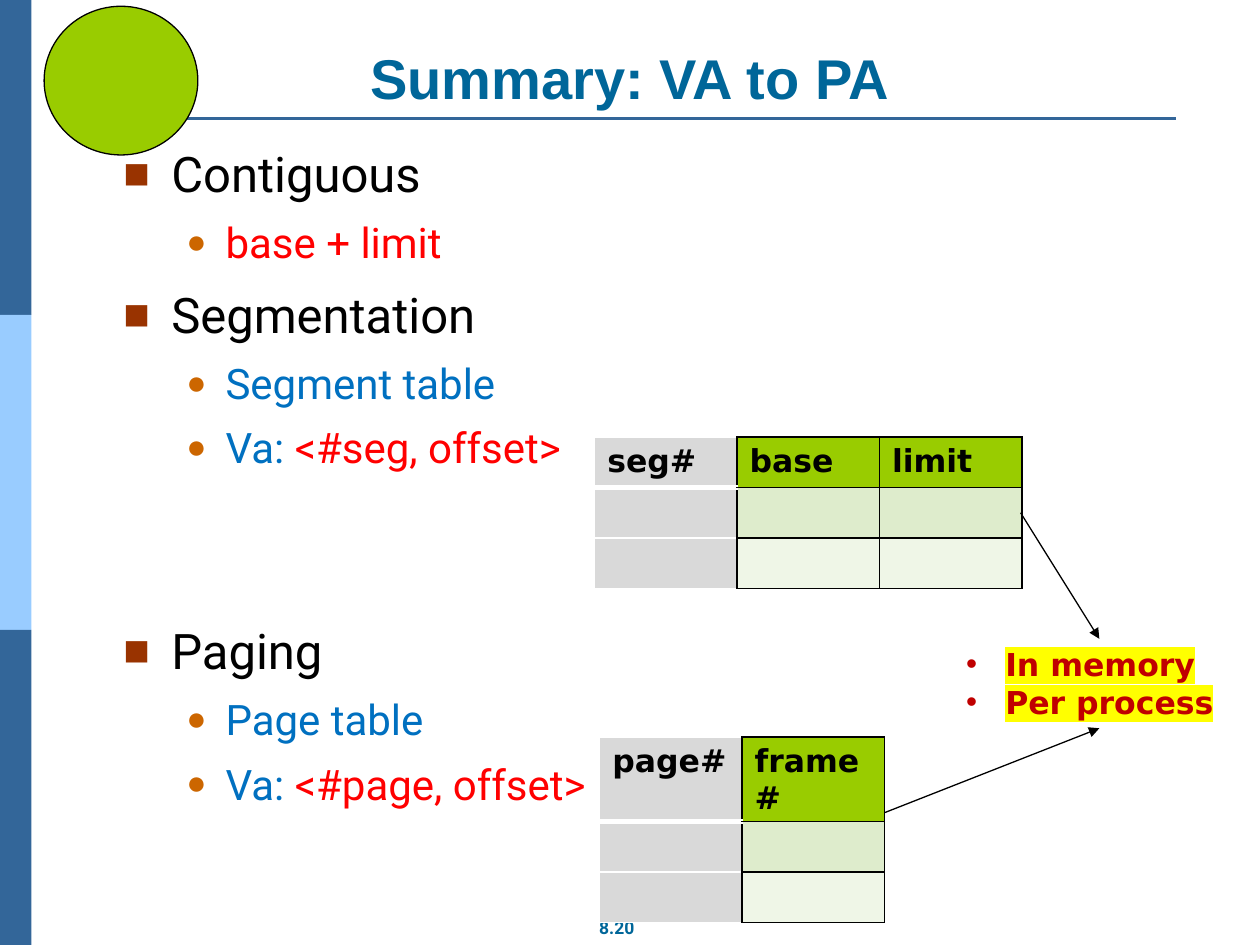
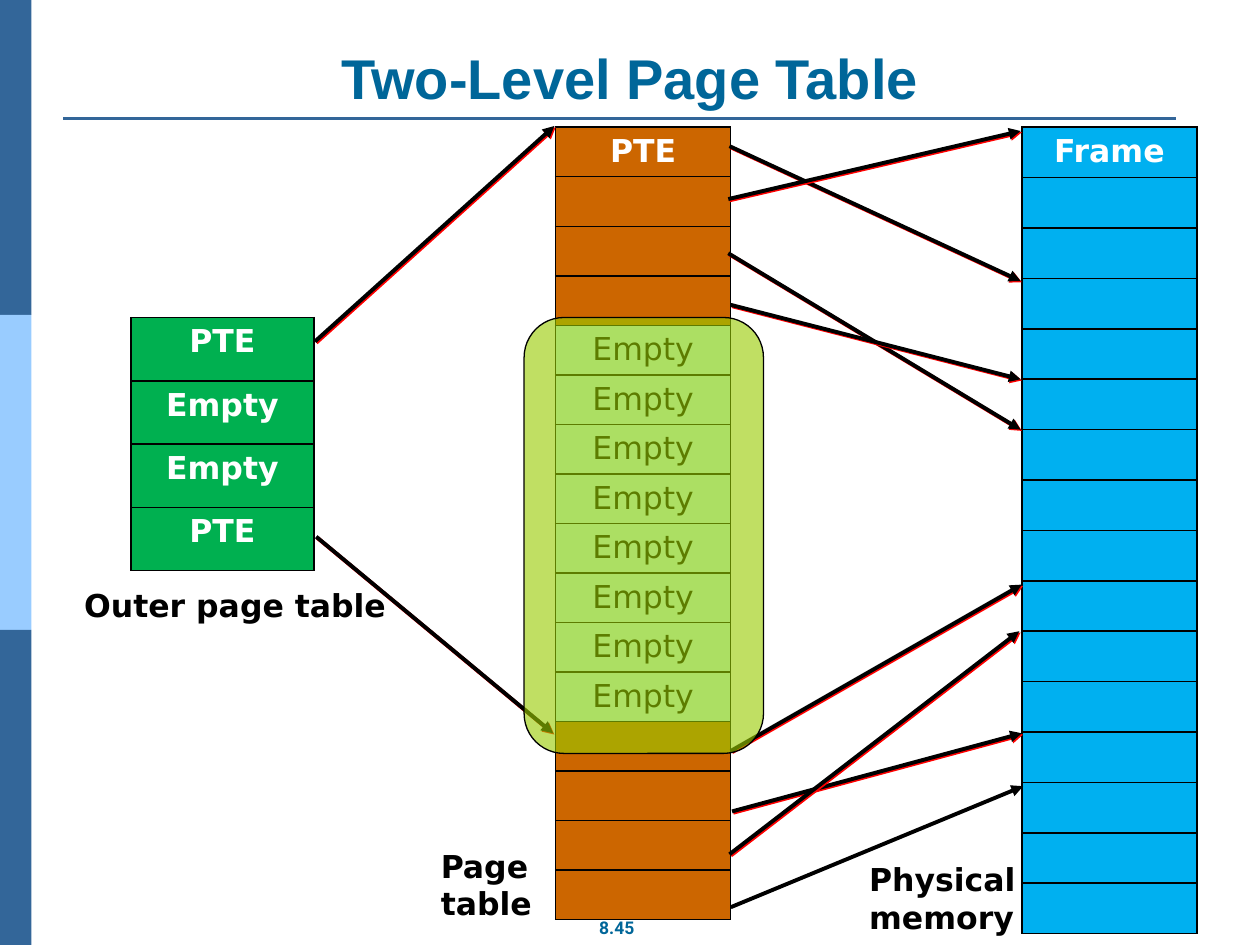
import dataclasses

import lxml.etree
import pptx
import pptx.dml.color
import pptx.enum.shapes
import pptx.enum.text
import pptx.oxml.ns
import pptx.util

Inches = pptx.util.Inches
Pt = pptx.util.Pt
qn = pptx.oxml.ns.qn
Align = pptx.enum.text.PP_ALIGN
Anchor = pptx.enum.text.MSO_ANCHOR
ShapeKind = pptx.enum.shapes.MSO_SHAPE
TOP, BOTTOM = 0, 2  # connection sites of a rectangle


@dataclasses.dataclass(frozen=True)
class Theme:
    # Colours
    band_dark: str = "336699"
    band_light: str = "99CCFF"
    title: str = "006699"
    black: str = "000000"
    white: str = "FFFFFF"
    red: str = "FF0000"
    blue: str = "0070C0"
    note: str = "C00000"
    highlight: str = "FFFF00"
    square_bullet: str = "993300"
    round_bullet: str = "CC6600"
    lime: str = "99CC00"
    lime_mid: str = "DEECCC"
    lime_pale: str = "EFF6E7"
    grey: str = "D9D9D9"
    orange: str = "CC6600"
    cyan: str = "CCFFFF"
    frame_blue: str = "00B0F0"
    green: str = "00B050"
    # Fonts and sizes
    title_font: str = "Arial"
    body_font: str = "Roboto"
    label_font: str = "DejaVu Sans"
    title_size: int = 32
    list_size: int = 28
    sublist_size: int = 24
    label_size: int = 18
    page_size: int = 10


THEME = Theme()


@dataclasses.dataclass
class Cell:
    """A table cell; borders are (colour, points) for left, right, top, bottom."""
    text: str
    fill: str
    color: str = THEME.black
    bold: bool = True
    borders: tuple = ((THEME.black, 1),) * 4


def rgb(color):
    return pptx.dml.color.RGBColor.from_string(color)


def add_element(parent, tag, **attributes):
    return lxml.etree.SubElement(parent, qn(tag), **attributes)


def add_solid_fill(parent, color):
    add_element(add_element(parent, "a:solidFill"), "a:srgbClr", val=color)


def write(paragraph, text, font=THEME.label_font, size=THEME.label_size,
          color=THEME.black, bold=False, align=None, highlight=None):
    """Add a run to a paragraph."""
    run = paragraph.add_run()
    run.text = text
    run.font.name = font
    run.font.size = Pt(size)
    run.font.bold = bold
    run.font.color.rgb = rgb(color)
    if align is not None:
        paragraph.alignment = align
    if highlight:
        mark = lxml.etree.Element(qn("a:highlight"))
        add_element(mark, "a:srgbClr", val=highlight)
        run.font._element.find(qn("a:solidFill")).addnext(mark)


def set_bullet(paragraph, character, color, percent, left, hanging):
    properties = paragraph._p.get_or_add_pPr()
    properties.set("marL", str(Inches(left)))
    properties.set("indent", str(-Inches(hanging)))
    bullet_color = add_element(properties, "a:buClr")
    add_element(bullet_color, "a:srgbClr", val=color)
    add_element(properties, "a:buSzPct", val=str(percent * 1000))
    add_element(properties, "a:buFont", typeface="Arial")
    add_element(properties, "a:buChar", char=character)


def place(shape, left, top, width, height):
    shape.left, shape.top = Inches(left), Inches(top)
    shape.width, shape.height = Inches(width), Inches(height)


class Deck:
    """Holds the style and the current slide."""

    def __init__(self, theme):
        self.theme = theme
        self.presentation = pptx.Presentation()
        self.presentation.slide_width = Inches(10)
        self.presentation.slide_height = Inches(7.5)
        self.slide = None

    def new_slide(self, title, page, has_list=False):
        theme = self.theme
        layout = self.presentation.slide_layouts[1 if has_list else 5]
        self.slide = self.presentation.slides.add_slide(layout)
        # Side bands, title rule and page number
        for index, color in enumerate((theme.band_dark, theme.band_light, theme.band_dark)):
            self.shape(ShapeKind.RECTANGLE, 0, 2.5 * index, 0.25, 2.5, color)
        self.line((0.5, 0.94), (9.33, 0.94), theme.band_dark, 1.5)
        self.text_box([page], 4.65, 7.23, 0.49, 0.27, wrap=False, font=theme.body_font,
                      size=theme.page_size, color=theme.title, align=Align.CENTER)
        # Title
        holder = self.slide.shapes.title
        place(holder, 0.5, 0.3, 9, 0.63)
        frame = holder.text_frame
        frame.auto_size = pptx.enum.text.MSO_AUTO_SIZE.NONE
        frame.vertical_anchor = Anchor.BOTTOM
        write(frame.paragraphs[0], title, font=theme.title_font, size=theme.title_size,
              color=theme.title, bold=True, align=Align.CENTER)

    def shape(self, kind, left, top, width, height, fill, outline=None, opacity=None):
        shape = self.slide.shapes.add_shape(
            kind, Inches(left), Inches(top), Inches(width), Inches(height))
        shape.shadow.inherit = False
        shape.fill.solid()
        shape.fill.fore_color.rgb = rgb(fill)
        if opacity:
            color = shape._element.spPr.find(qn("a:solidFill")).find(qn("a:srgbClr"))
            add_element(color, "a:alpha", val=str(opacity * 1000))
        if outline:
            shape.line.color.rgb = rgb(outline)
            shape.line.width = Pt(0.75)
        else:
            shape.line.fill.background()

    def line(self, start, end, color, width, arrow=False):
        connector = self.slide.shapes.add_connector(
            pptx.enum.shapes.MSO_CONNECTOR.STRAIGHT,
            *(Inches(value) for value in (*start, *end)))
        connector.line.color.rgb = rgb(color)
        connector.line.width = Pt(width)
        properties = connector._element.spPr
        if arrow:
            add_element(properties.find(qn("a:ln")), "a:tailEnd", type="triangle")
        add_element(properties, "a:effectLst")
        return connector

    def shadowed_arrow(self, start, end):
        """A black arrow over a red one set slightly lower right."""
        shifted = [tuple(value + 0.01 for value in point) for point in (start, end)]
        self.line(*shifted, self.theme.red, 2.25, arrow=True)
        self.line(start, end, self.theme.black, 2.25, arrow=True)

    def text_box(self, lines, left, top, width, height, wrap=True, bullet=None, **style):
        box = self.slide.shapes.add_textbox(
            Inches(left), Inches(top), Inches(width), Inches(height))
        frame = box.text_frame
        frame.word_wrap = wrap
        for index, text in enumerate(lines):
            paragraph = frame.add_paragraph() if index else frame.paragraphs[0]
            write(paragraph, text, bold=True, **style)
            if bullet:
                set_bullet(paragraph, bullet, style["color"], 100, 0.31, 0.31)
        return box

    def bullet_list(self, items, left, top, width, height):
        """Items are (level, space before in points, [(text, colour), ...])."""
        theme = self.theme
        levels = (
            (theme.list_size, ("■", theme.square_bullet, 90, 0.38, 0.38)),
            (theme.sublist_size, ("●", theme.round_bullet, 80, 0.81, 0.31)),
        )
        holder = self.slide.placeholders[1]
        place(holder, left, top, width, height)
        frame = holder.text_frame
        frame.auto_size = pptx.enum.text.MSO_AUTO_SIZE.NONE
        for index, (level, space, parts) in enumerate(items):
            paragraph = frame.add_paragraph() if index else frame.paragraphs[0]
            paragraph.level = level
            paragraph.space_before = Pt(space)
            size, bullet = levels[level]
            set_bullet(paragraph, *bullet)
            for text, color in parts:
                write(paragraph, text, font=theme.body_font, size=size, color=color)

    def table(self, rows, left, top, column_width, row_height, align=None):
        row_count, column_count = len(rows), len(rows[0])
        table = self.slide.shapes.add_table(
            row_count, column_count, Inches(left), Inches(top),
            Inches(column_width * column_count), Inches(row_height * row_count)).table
        table.first_row = table.horz_banding = False
        for column in table.columns:
            column.width = Inches(column_width)
        for row_index, row in enumerate(rows):
            table.rows[row_index].height = Inches(row_height)
            for column_index, content in enumerate(row):
                self.fill_cell(table.cell(row_index, column_index), content, align)

    def fill_cell(self, cell, content, align):
        cell.fill.solid()
        cell.fill.fore_color.rgb = rgb(content.fill)
        # Small lower margins keep the rows at their set height
        cell.margin_bottom = Inches(0.02)
        if content.text:
            write(cell.text_frame.paragraphs[0], content.text, color=content.color,
                  bold=content.bold, align=align)
        else:
            cell.margin_top = 0
        properties = cell._tc.get_or_add_tcPr()
        for index, (side, (color, width)) in enumerate(zip("LRTB", content.borders)):
            border = lxml.etree.Element(qn("a:ln" + side), w=str(Pt(width)))
            add_solid_fill(border, color)
            properties.insert(index, border)


def mapping_rows(index_name, *field_names):
    """Rows of a translation table: a grey index column and green fields."""
    rows = []
    for row, fill in enumerate((THEME.lime, THEME.lime_mid, THEME.lime_pale)):
        white = (THEME.white, 1)
        below = (THEME.white, 1 if row else 3)
        index_cell = Cell("" if row else index_name, THEME.grey,
                          borders=(white, (THEME.black, 1), white, below))
        rows.append([index_cell] + [Cell("" if row else name, fill) for name in field_names])
    return rows


def build_summary(deck):
    theme = deck.theme
    deck.new_slide("Summary: VA to PA", "8.20", has_list=True)
    deck.bullet_list([
        (0, 2, [("Contiguous", theme.black)]),
        (1, 8, [("base + limit", theme.red)]),
        (0, 10, [("Segmentation", theme.black)]),
        (1, 8, [("Segment table", theme.blue)]),
        (1, 8, [("Va: ", theme.blue), ("<#seg, offset>", theme.red)]),
        (0, 85, [("Paging", theme.black)]),
        (1, 8, [("Page table", theme.blue)]),
        (1, 8, [("Va: ", theme.blue), ("<#page, offset>", theme.red)]),
    ], 0.88, 1.09, 9, 6.29)
    deck.table(mapping_rows("seg#", "base", "limit"), 4.72, 3.47, 1.13, 0.4)
    deck.table(mapping_rows("page#", "frame#"), 4.76, 5.85, 1.13, 0.4)
    # Where both tables live
    note = deck.text_box(["In memory", "Per process"], 7.57, 5.07, 2.31, 0.71, bullet="•",
                         color=theme.note, highlight=theme.highlight)
    for start, end, site in (((8.1, 4.07), (8.73, 5.07), TOP),
                             ((7.02, 6.45), (8.73, 5.78), BOTTOM)):
        deck.line(start, end, theme.black, 0.75, arrow=True).end_connect(note, site)
    deck.shape(ShapeKind.OVAL, 0.35, 0.05, 1.22, 1.18, theme.lime, theme.black)


def build_two_level(deck):
    theme = deck.theme
    deck.new_slide("Two-Level Page Table", "8.45")
    # Outer table, page table and physical memory
    outer = [[Cell(text, theme.green, theme.white)] for text in ("PTE", "Empty", "Empty", "PTE")]
    used = [Cell("", theme.orange)]
    unused = [Cell("Empty", theme.cyan, bold=False)]
    pages = [[Cell("PTE", theme.orange, theme.white)]] + [used] * 3 + [unused] * 8 + [used] * 4
    frames = [[Cell("Frame", theme.frame_blue, theme.white)]]
    frames += [[Cell("", theme.frame_blue)]] * 15
    deck.table(pages, 4.41, 1.01, 1.39, 6.29 / 16, Align.CENTER)
    deck.table(frames, 8.11, 1.01, 1.39, 6.4 / 16, Align.CENTER)
    deck.table(outer, 1.04, 2.52, 1.45, 2.01 / 4, Align.CENTER)
    deck.text_box(["Physical memory"], 6.8, 6.78, 1.77, 0.71)
    deck.text_box(["Outer page table"], 0.57, 4.6, 2.77, 0.4)
    deck.text_box(["Page table"], 3.4, 6.67, 1.27, 0.71)
    # Page table entries to frames, then outer entries to page tables
    for start, end in (
        ((5.79, 1.16), (8.1, 2.23)),
        ((5.78, 1.58), (8.1, 1.04)),
        ((5.78, 2.01), (8.1, 3.41)),
        ((5.8, 2.42), (8.1, 3.01)),
        ((5.8, 5.96), (8.11, 4.64)),
        ((5.81, 6.44), (8.11, 5.82)),
        ((5.79, 6.78), (8.09, 5.01)),
        ((2.5, 2.71), (4.4, 1)),
        ((2.51, 4.26), (4.39, 5.82)),
    ):
        deck.shadowed_arrow(start, end)
    deck.line((5.8, 7.2), (8.12, 6.24), theme.black, 2.25, arrow=True)
    # Unused stretch of the page table
    deck.shape(ShapeKind.ROUNDED_RECTANGLE, 4.16, 2.52, 1.9, 3.46, theme.lime,
               theme.black, opacity=61)


def main():
    deck = Deck(THEME)
    build_summary(deck)
    build_two_level(deck)
    deck.presentation.save("out.pptx")


if __name__ == "__main__":
    main()
